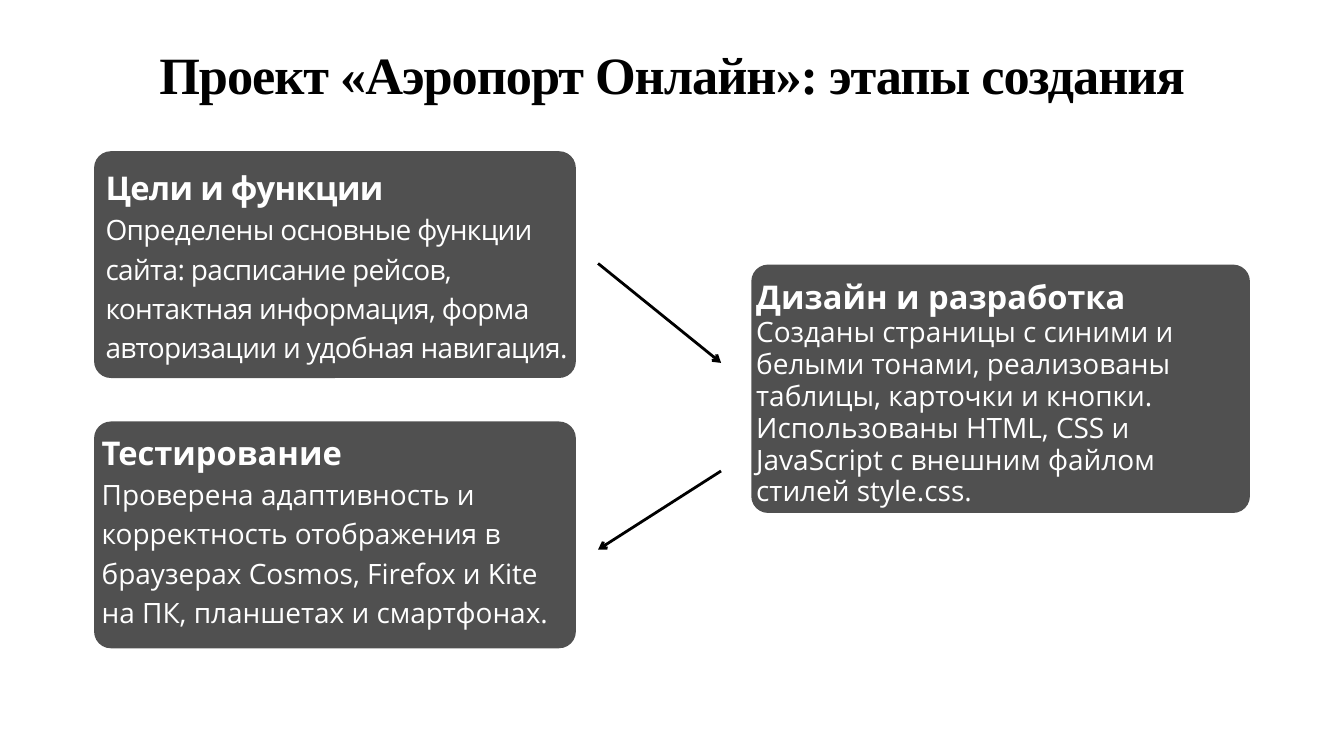
from lxml import etree
from pptx import Presentation
from pptx.dml.color import RGBColor
from pptx.enum.shapes import MSO_CONNECTOR, MSO_SHAPE
from pptx.enum.text import MSO_ANCHOR, MSO_AUTO_SIZE, PP_ALIGN
from pptx.oxml.ns import qn
from pptx.util import Inches, Pt

STRAIGHT = MSO_CONNECTOR.STRAIGHT
ROUNDED = MSO_SHAPE.ROUNDED_RECTANGLE
TOP, NO_FIT = MSO_ANCHOR.TOP, MSO_AUTO_SIZE.NONE
LEFT, CENTER = PP_ALIGN.LEFT, PP_ALIGN.CENTER

THEME = {
    "card": RGBColor(0x50, 0x50, 0x50),
    "light": RGBColor(0xFF, 0xFF, 0xFF),
    "dark": RGBColor(0, 0, 0),
    "title_font": "Times New Roman",
    "text_font": "Open Sans",
    "title": 56.1,
    "heading": 35,
    "body": 30,
    "arrow": 3,
    "radius": 0.25,
}

deck = Presentation()
deck.slide_width, deck.slide_height = Inches(20), Inches(11.25)
COLUMN, ROW = deck.slide_width / 100, deck.slide_height / 100
page = deck.slides.add_slide(deck.slide_layouts[5])


def grid(*lengths):
    return [round(length * (ROW if i % 2 else COLUMN)) for i, length in enumerate(lengths)]


def format_paragraph(para, align, leading, font, size, color, bold, spacing):
    para.alignment = align
    para.line_spacing = Pt(leading)
    para.space_before = Pt(0)
    for span in para.runs:
        span.font.name, span.font.size = font, Pt(size)
        span.font.bold, span.font.color.rgb = bold, color
        span._r.get_or_add_rPr().set("spc", str(round(spacing * 100)))


title = page.shapes.title
title.left, title.top, title.width, title.height = grid(7, 4.2, 86, 10)
frame = title.text_frame
frame.text = "Проект «Аэропорт Онлайн»: этапы создания"
frame.word_wrap, frame.auto_size, frame.vertical_anchor = True, NO_FIT, TOP
frame.margin_left = frame.margin_top = frame.margin_right = frame.margin_bottom = 0
format_paragraph(frame.paragraphs[0], CENTER, 78.6, THEME["title_font"],
                 THEME["title"], THEME["dark"], True, -1.1)

cards = [
    ((7, 20, 35.85, 30), (0.1, 0.08), 1.4, -0.7, "Цели и функции",
     "Определены основные функции сайта: расписание рейсов, контактная "
     "информация, форма авторизации и удобная навигация."),
    ((55.9, 35, 37.1, 32.85), (0, 0.14), 1.14, 0, "Дизайн и разработка",
     "Созданы страницы с синими и белыми тонами, реализованы таблицы, "
     "карточки и кнопки. Использованы HTML, CSS и JavaScript с внешним "
     "файлом стилей style.css."),
    ((7, 55.75, 35.85, 30), (0.04, 0), 1.4, 0, "Тестирование",
     "Проверена адаптивность и корректность отображения в браузерах "
     "Cosmos, Firefox и Kite на ПК, планшетах и смартфонах."),
]
for place, (inset_left, inset_top), leading, spacing, heading, body in cards:
    card = page.shapes.add_shape(ROUNDED, *grid(*place))
    card.adjustments[0] = Inches(THEME["radius"]) / card.height
    card.shadow.inherit = False
    card.fill.solid()
    card.fill.fore_color.rgb = THEME["card"]
    card.line.fill.background()
    frame = card.text_frame
    frame.text = f"{heading}\n{body}"
    frame.word_wrap, frame.vertical_anchor = True, TOP
    frame.margin_left, frame.margin_top = Inches(inset_left), Inches(inset_top)
    frame.margin_right = frame.margin_bottom = 0
    for para, level in zip(frame.paragraphs, ("heading", "body")):
        size = THEME[level]
        format_paragraph(para, LEFT, size * leading, THEME["text_font"], size,
                         THEME["light"], level == "heading", spacing)

for ends in [(44.5, 34.85, 53.65, 48), (53.65, 62.3, 44.5, 72.7)]:
    arrow = page.shapes.add_connector(STRAIGHT, *grid(*ends))
    arrow.line.color.rgb = THEME["dark"]
    arrow.line.width = Pt(THEME["arrow"])
    etree.SubElement(arrow.line._get_or_add_ln(), qn("a:tailEnd"), type="arrow")
    etree.SubElement(arrow._element.spPr, qn("a:effectLst"))

deck.save("out.pptx")
